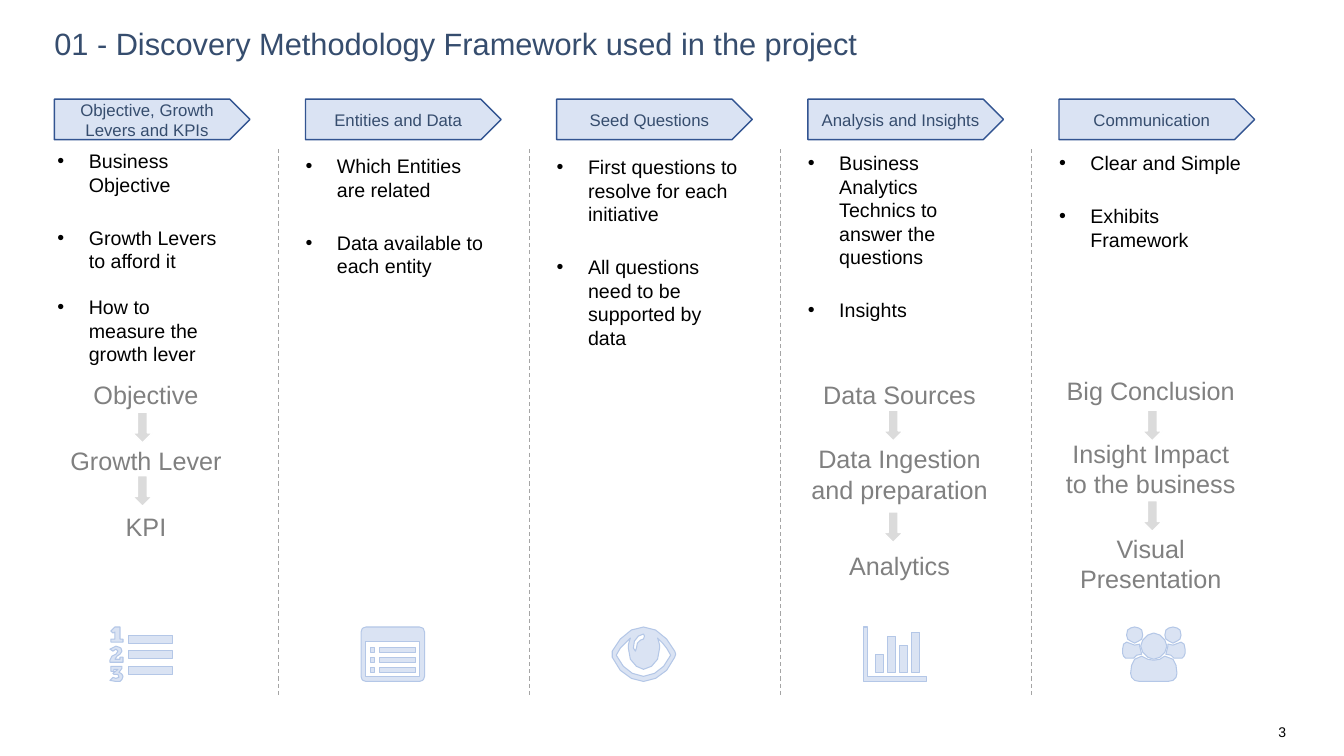
"""Build the discovery methodology slide: five columns with a header, bullets, flow and icon."""
from lxml import etree
from pptx import Presentation
from pptx.dml.color import RGBColor
from pptx.enum.dml import MSO_LINE
from pptx.enum.shapes import MSO_CONNECTOR, MSO_SHAPE
from pptx.enum.text import MSO_ANCHOR, PP_ALIGN
from pptx.oxml.ns import qn
from pptx.util import Cm, Pt

STRAIGHT, DASH = MSO_CONNECTOR.STRAIGHT, MSO_LINE.DASH
PENTAGON, DOWN_ARROW = MSO_SHAPE.PENTAGON, MSO_SHAPE.DOWN_ARROW
TOP, MIDDLE = MSO_ANCHOR.TOP, MSO_ANCHOR.MIDDLE
LEFT, CENTER, RIGHT = PP_ALIGN.LEFT, PP_ALIGN.CENTER, PP_ALIGN.RIGHT

NAVY = RGBColor(0x36, 0x4D, 0x6E)
BLUE = RGBColor(0x32, 0x54, 0x91)
PALE = RGBColor(0xDA, 0xE3, 0xF3)
SKY = RGBColor(0xB4, 0xC7, 0xE7)
GRAY = RGBColor(0x80, 0x80, 0x80)
RULE = RGBColor(0xA5, 0xA5, 0xA5)
SILVER = RGBColor(0xDB, 0xDB, 0xDB)
WHITE = RGBColor(0xFF, 0xFF, 0xFF)
BLACK = RGBColor(0, 0, 0)

FIRST_COLUMN, PITCH = 1.37, 6.33
LABEL_WIDTH, LABEL_CENTER = 4.5, 2.31
ARROW_WIDTH, ARROW_HEIGHT = 0.5, 0.77
ICON_UNIT = Cm(2.54) / 100
CURVE_STEPS = 3


def curve(start, *steps):
    """Return outline points; a pair is a line, six numbers are a cubic curve."""
    points = [start]
    for step in steps:
        if len(step) == 2:
            points.append(step)
            continue
        x0, y0 = points[-1]
        x1, y1, x2, y2, x3, y3 = step
        for i in range(1, CURVE_STEPS + 1):
            t = i / CURVE_STEPS
            a, b, c, d = (1 - t) ** 3, 3 * t * (1 - t) ** 2, 3 * t * t * (1 - t), t ** 3
            points.append((a * x0 + b * x1 + c * x2 + d * x3,
                           a * y0 + b * y1 + c * y2 + d * y3))
    return points


def box(l, t, r, b):
    """Return the outline of a box."""
    return [(l, t), (r, t), (r, b), (l, b)]


def circle(x, y, radius):
    """Return the outline of a circle."""
    k = radius * 0.55
    l, t, r, b = x - radius, y - radius, x + radius, y + radius
    return curve((x, t), (x + k, t, r, y - k, r, y), (r, y + k, x + k, b, x, b),
                 (x - k, b, l, y + k, l, y), (l, y - k, x - k, t, x, t))


def numbered_list():
    """Return the outlines of the numbered list icon."""
    one = [(13, 15), (1, 15), (1, 12), (5, 12), (5, 5), (3, 6), (1, 4), (5, 0),
           (10, 0), (10, 12), (13, 12)]
    two = curve((13, 35), (0, 35), (0, 33), (0, 28, 8, 27, 8, 24), (6, 22),
                (3, 24), (0, 22), (2, 21, 3, 19, 6, 19),
                (10, 19, 12, 21, 12, 24), (12, 28, 5, 29, 5, 32), (10, 32), (10, 30), (13, 30))
    three = curve((6, 54), (0, 53), (3, 50), (6, 51), (9, 50), (8, 47), (4, 47), (3, 46),
                  (8, 42), (4, 42), (4, 44), (1, 44), (1, 39), (12, 39), (12, 41), (9, 45),
                  (11, 46, 13, 47, 13, 49), (13, 53, 10, 54, 6, 54))
    return [one, two, three] + [box(18, t, 62, t + 8) for t in (8, 23, 39)]


def window():
    """Return the outlines of the window icon."""
    frame = curve((5, 0), (58, 0), (61, 0, 63, 2, 63, 5), (63, 49), (63, 52, 61, 54, 58, 54),
                  (5, 54), (2, 54, 0, 52, 0, 49), (0, 5), (0, 2, 2, 0, 5, 0))
    rows = [box(l, t, r, t + 5) for t in (20, 30, 40) for l, r in ((9, 13), (18, 54))]
    return [frame, box(4, 14, 58, 49)] + rows


def eye():
    """Return the outlines of the eye icon."""
    lids = curve((62, 30), (55, 45, 43, 54, 31, 54), (19, 54, 7, 45, 0, 30),
                 (0, 24), (7, 11, 19, 0, 31, 0), (43, 0, 55, 11, 62, 24), (63, 27))
    white = curve((45, 11), (46, 15, 47, 17, 47, 21), (47, 33, 40, 42, 31, 42),
                  (23, 42, 16, 33, 16, 21), (16, 17, 17, 15, 18, 11), (12, 15, 8, 21, 4, 28),
                  (10, 40, 20, 49, 31, 49), (42, 49, 52, 40, 58, 28), (55, 21, 50, 15, 45, 11))
    glint = curve((31, 7), (26, 7, 21, 13, 21, 21), (23, 24), (24, 21),
                  (24, 16, 28, 12, 31, 12), (32, 9))
    return [lids, white, glint]


def bars():
    """Return the outlines of the bar chart icon."""
    axes = [(63, 54), (0, 54), (0, 0), (4, 0), (4, 49), (63, 49)]
    return [axes] + [box(12 * i, t, 12 * i + 8, 45) for i, t in enumerate((27, 9, 18, 5), 1)]


def people():
    """Return the outlines of the people icon."""
    body = curve((45, 54), (17, 54), (12, 54, 8, 51, 8, 46), (8, 39, 10, 29, 19, 29),
                 (21, 29, 24, 33, 31, 33), (37, 33, 42, 29, 42, 29), (53, 29, 54, 39, 54, 46),
                 (54, 51, 51, 54, 45, 54))
    side = curve((11, 31), (6, 31), (3, 31, 0, 30, 0, 26), (0, 23, 0, 15, 4, 15),
                 (12, 18), (17, 17), (17, 19), (19, 27), (14, 28))
    mirrored = [(62 - x, y) for x, y in side]
    heads = [circle(12, 7.5, 8), circle(31, 19, 12.5), circle(50, 7.5, 8)]
    return [body, side, mirrored] + heads


COLUMNS = [
    ("Objective, Growth Levers and KPIs", (0.08, 3.76, 4.39),
     [("Business Objective", 0), ("Growth Levers to afford it", 21),
      ("How to measure the growth lever", 16)],
     [("Objective", 9.55), ("Growth Lever", 11.23), ("KPI", 12.88)],
     2.22, (10.39, 11.99), numbered_list, 1.4),
    ("Entities and Data", (0, 3.89, 4.67),
     [("Which Entities are related", 0), ("Data available to each entity", 21)],
     [], 0, (), window, 1.4),
    ("Seed Questions", (0, 3.91, 4.67),
     [("First questions to resolve for each initiative", 0),
      ("All questions need to be supported by data", 21)],
     [], 0, (), eye, 1.4),
    ("Analysis and Insights", (0, 3.81, 4.67),
     [("Business Analytics Technics to answer the questions", 0), ("Insights", 21)],
     [("Data Sources", 9.55), ("Data Ingestion\nand preparation", 11.18), ("Analytics", 13.87)],
     2.15, (10.34, 12.9), bars, 1.4),
    ("Communication", (0, 3.81, 4.67),
     [("Clear and Simple", 0), ("Exhibits Framework", 21)],
     [("Big Conclusion", 9.47), ("Insight Impact\nto the business", 11.05),
      ("Visual\nPresentation", 13.44)],
     2.35, (10.34, 12.62), people, 1.6),
]


def set_text(tf, text, size, color, align=LEFT, anchor=TOP, inset=0):
    """Fill a text frame and format every paragraph."""
    tf.text = text
    tf.word_wrap = True
    tf.vertical_anchor = anchor
    tf.margin_left = tf.margin_right = Cm(inset)
    tf.margin_top = tf.margin_bottom = Cm(inset / 2)
    for p in tf.paragraphs:
        p.alignment = align
        for r in p.runs:
            r.font.name, r.font.size = "Arial", Pt(size)
            r.font.color.rgb = color


def add_text(s, x, y, w, h, text, size, color, **style):
    """Add a text box and return it."""
    sp = s.shapes.add_textbox(Cm(x), Cm(y), Cm(w), Cm(h))
    set_text(sp.text_frame, text, size, color, **style)
    return sp


def paint(sp, fill, line, width):
    """Give a shape a flat fill and an outline."""
    sp.shadow.inherit = False
    sp.fill.solid()
    sp.fill.fore_color.rgb = fill
    sp.line.color.rgb = line
    sp.line.width = Pt(width)


def add_preset(s, kind, x, y, w, h, fill, line):
    """Add a painted preset shape and return it."""
    sp = s.shapes.add_shape(kind, Cm(x), Cm(y), Cm(w), Cm(h))
    paint(sp, fill, line, 1)
    return sp


def add_bullets(s, x, y, w, items):
    """Add a bulleted list whose gaps are paragraph spacing."""
    sp = add_text(s, x, y, w, 4.95, "\n".join(text for text, _ in items), 14, BLACK)
    for p, (_, gap) in zip(sp.text_frame.paragraphs, items):
        pPr = p._p.get_or_add_pPr()
        pPr.set("marL", str(Cm(0.79)))
        pPr.set("indent", str(-Cm(0.79)))
        etree.SubElement(pPr, qn("a:buFont")).set("typeface", "Arial")
        etree.SubElement(pPr, qn("a:buChar")).set("char", "•")
        p.space_before = Pt(gap)


def add_separator(s, x):
    """Add a dashed vertical rule."""
    line = s.shapes.add_connector(STRAIGHT, Cm(x), Cm(3.76), Cm(x), Cm(17.55))
    line.line.color.rgb, line.line.width = RULE, Pt(0.75)
    line.line.dash_style = DASH
    etree.SubElement(line._element.spPr, qn("a:effectLst"))


def add_icon(s, x, outlines):
    """Add an icon as one freeform of several outlines."""
    builder = s.shapes.build_freeform(*outlines[0][0], scale=ICON_UNIT)
    builder.add_line_segments(outlines[0][1:], close=True)
    for outline in outlines[1:]:
        builder.move_to(*outline[0])
        builder.add_line_segments(outline[1:], close=True)
    paint(builder.convert_to_shape(Cm(x), Cm(15.8)), PALE, SKY, 0.75)


def add_column(s, x, header, place, bullets, labels, arrow_x, arrows, icon, icon_x):
    """Add one column of the framework."""
    sp = add_preset(s, PENTAGON, x, 2.5, 4.93, 1.02, PALE, BLUE)
    set_text(sp.text_frame, header, 12, NAVY, CENTER, MIDDLE, 0.25)
    dx, top, width = place
    add_bullets(s, x + dx, top, width, bullets)
    for text, y in labels:
        add_text(s, x + LABEL_CENTER - LABEL_WIDTH / 2, y, LABEL_WIDTH,
                 0.77 * len(text.split("\n")), text, 18, GRAY, align=CENTER)
    for y in arrows:
        add_preset(s, DOWN_ARROW, x + arrow_x - ARROW_WIDTH / 2, y,
                   ARROW_WIDTH, ARROW_HEIGHT, SILVER, WHITE)
    add_icon(s, x + icon_x, icon())


def main():
    """Build and save the slide."""
    prs = Presentation()
    prs.slide_width, prs.slide_height = Cm(33.87), Cm(19.05)
    s = prs.slides.add_slide(prs.slide_layouts[5])
    title = s.shapes.title
    title.left, title.top, title.width, title.height = Cm(1.37), Cm(0.74), Cm(30.1), Cm(0.84)
    set_text(title.text_frame, "01 - Discovery Methodology Framework used in the project", 22, NAVY)
    title.text_frame.paragraphs[0].line_spacing = 0.9
    for i, column in enumerate(COLUMNS):
        x = FIRST_COLUMN + i * PITCH
        add_column(s, x, *column)
        if i < len(COLUMNS) - 1:
            add_separator(s, x + 5.64)
    add_text(s, 23.93, 17.93, 8.48, 1.02, "3", 10, BLACK, align=RIGHT, anchor=MIDDLE)
    prs.save("out.pptx")


if __name__ == "__main__":
    main()
